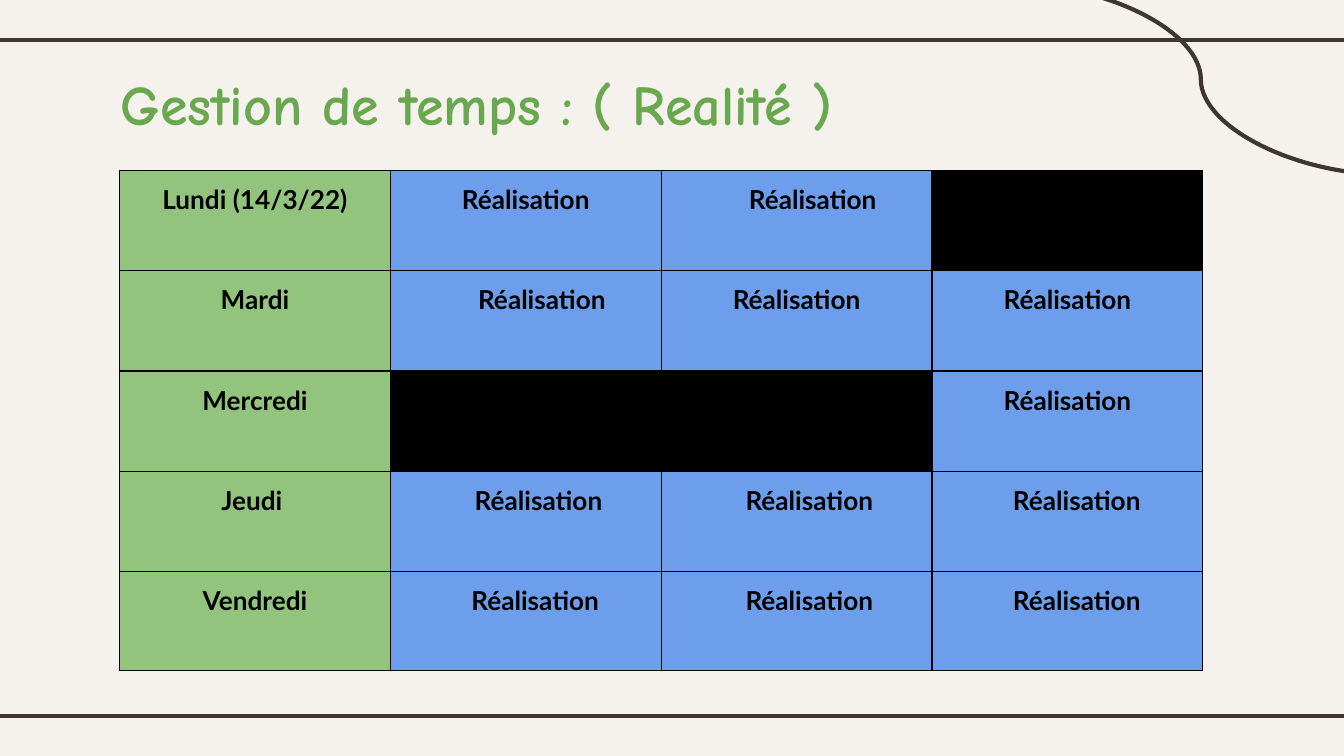
from lxml.etree import SubElement
from pptx import Presentation
from pptx.dml.color import RGBColor
from pptx.enum.shapes import MSO_CONNECTOR
from pptx.enum.text import MSO_ANCHOR, PP_ALIGN
from pptx.oxml import parse_xml
from pptx.oxml.ns import nsdecls, qn
from pptx.util import Inches, Pt

DARK, PAPER, BLACK = "3F3533", "F5F2EE", "000000"
GREEN, BLUE, TITLE_GREEN = "93C47D", "6D9EEB", "6AA84F"
TITLE_FONT = {"name": "Comic Neue", "size": Pt(30), "bold": True}
CELL_FONT = {"name": "Lato", "size": Pt(14), "bold": True}

TASK = "Réalisation"
TABLE_WIDTH = 8.06
ROW_HEIGHTS = [0.74, 0.75, 0.75, 0.74, 0.74]
WEEK = [
    ("Lundi (14/3/22)", [0, 0.24, None]),
    ("Mardi", [0.24, 0, 0]),
    ("Mercredi", [None, None, 0]),
    ("Jeudi ", [0.19, 0.19, 0.14]),
    ("Vendredi", [0.14, 0.19, 0.14]),
]


def rgb(value):
    return RGBColor.from_string(value)


def paint(fill, color):
    fill.solid()
    fill.fore_color.rgb = rgb(color)


def write(tf, text, font, color):
    p = tf.paragraphs[0]
    r = p.add_run()
    r.text = text
    for name, value in font.items():
        setattr(r.font, name, value)
    r.font.color.rgb = rgb(color)
    return p


def add_line(s, kind, x1, y1, x2, y2):
    sp = s.shapes.add_connector(kind, *map(Inches, (x1, y1, x2, y2)))
    sp.line.color.rgb = rgb(DARK)
    sp.line.width = Pt(2.25)
    SubElement(sp._element.spPr, qn("a:effectLst"))


def add_title(s, text):
    sp = s.shapes.add_textbox(*map(Inches, (0.8, 0.42, 7.78, 0.63)))
    tf = sp.text_frame
    frame = {"word_wrap": True, "vertical_anchor": MSO_ANCHOR.TOP}
    for side in ("left", "right", "top", "bottom"):
        frame[f"margin_{side}"] = Inches(0.1)
    for name, value in frame.items():
        setattr(tf, name, value)
    write(tf, text, TITLE_FONT, TITLE_GREEN)


def add_borders(cell):
    tc_pr = cell._tc.get_or_add_tcPr()
    for i, side in enumerate("LRTB"):
        tc_pr.insert(i, parse_xml(
            f'<a:ln{side} {nsdecls("a")} w="{Pt(0.75)}"><a:solidFill>'
            f'<a:srgbClr val="{BLACK}"/></a:solidFill></a:ln{side}>'))


def fill_cell(cell, text, color, shift=0):
    paint(cell.fill, color)
    add_borders(cell)
    for side in ("left", "right", "top", "bottom"):
        setattr(cell, f"margin_{side}", Inches(0.1))
    cell.margin_left = Inches(0.1 + shift)
    if text:
        p = write(cell.text_frame, text, CELL_FONT, BLACK)
        p.alignment = PP_ALIGN.CENTER


def add_schedule(s):
    columns = 1 + len(WEEK[0][1])
    table = s.shapes.add_table(
        len(WEEK), columns, Inches(0.89), Inches(1.27),
        Inches(TABLE_WIDTH), Inches(sum(ROW_HEIGHTS))).table
    for column in table.columns:
        column.width = Inches(TABLE_WIDTH / columns)
    for i, (day, shifts) in enumerate(WEEK):
        table.rows[i].height = Inches(ROW_HEIGHTS[i])
        fill_cell(table.cell(i, 0), day, GREEN)
        for j, shift in enumerate(shifts, 1):
            if shift is None:
                fill_cell(table.cell(i, j), "", BLACK)
            else:
                fill_cell(table.cell(i, j), TASK, BLUE, shift)


def main():
    prs = Presentation()
    prs.slide_width = Inches(10)
    prs.slide_height = Inches(10 * 9 / 16)
    s = prs.slides.add_slide(prs.slide_layouts[6])
    paint(s.background.fill, PAPER)
    for y in (0.3, 5.33):
        add_line(s, MSO_CONNECTOR.STRAIGHT, -0.08, y, 10.08, y)
    add_line(s, MSO_CONNECTOR.CURVE, 7.53, -0.12, 10.34, 1.3)
    add_title(s, "Gestion de temps : ( Realité )")
    add_schedule(s)
    prs.save("out.pptx")


if __name__ == "__main__":
    main()
